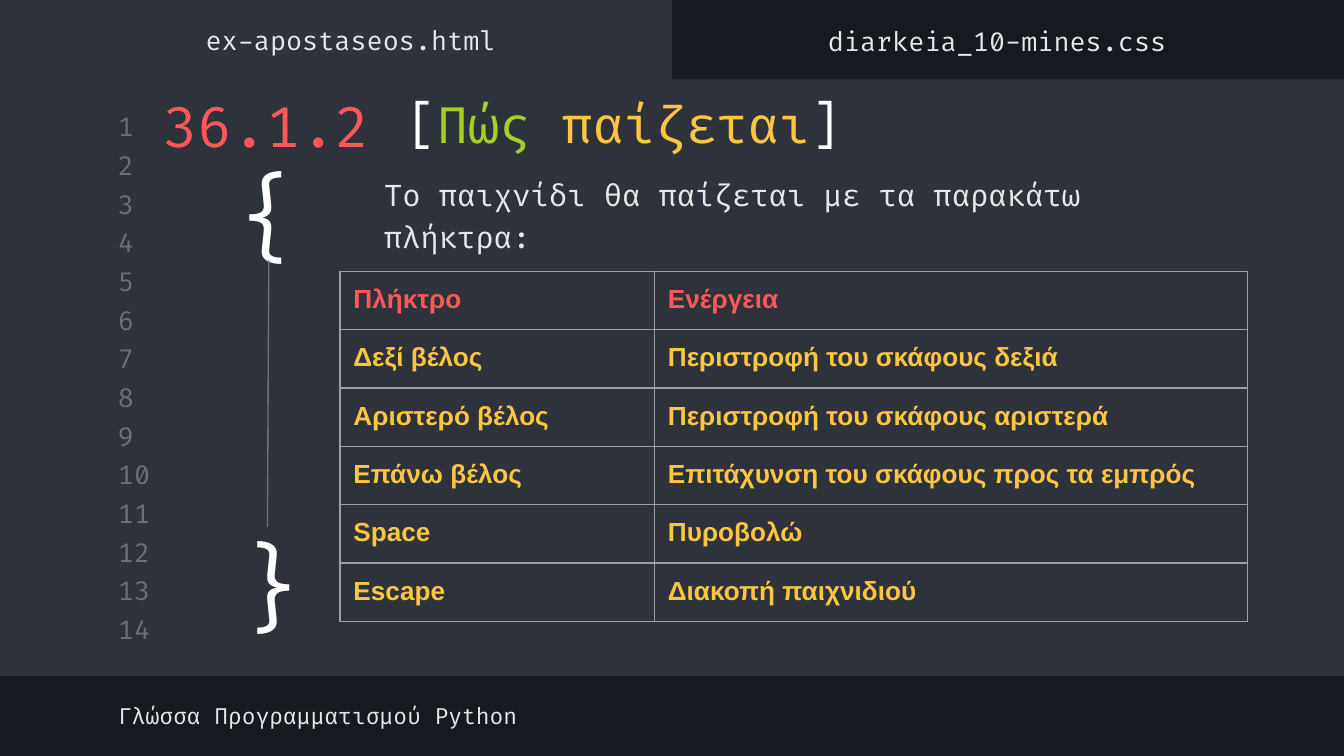
from lxml import etree
from pptx import Presentation
from pptx.dml.color import RGBColor
from pptx.enum.shapes import MSO_CONNECTOR, MSO_SHAPE
from pptx.enum.text import MSO_ANCHOR, PP_ALIGN
from pptx.oxml.ns import qn
from pptx.util import Inches, Pt

LEFT, CENTER = PP_ALIGN.LEFT, PP_ALIGN.CENTER
MIDDLE, TOP = MSO_ANCHOR.MIDDLE, MSO_ANCHOR.TOP

DARK = RGBColor(0x16, 0x19, 0x1F)
PANEL = RGBColor(0x2E, 0x32, 0x3B)
GREY = RGBColor(0x70, 0x70, 0x70)
BORDER = RGBColor(0x9E, 0x9E, 0x9E)
LIGHT = RGBColor(0xE7, 0xE7, 0xE7)
WHITE = RGBColor(0xFF, 0xFF, 0xFF)
RED = RGBColor(0xFF, 0x58, 0x58)
GREEN = RGBColor(0xA5, 0xCF, 0x27)
YELLOW = RGBColor(0xFC, 0xC6, 0x42)
CODE_FONT, TABLE_FONT = "Fira Code", "Arial"

WIDTH = 10
HEIGHT = WIDTH * 9 / 16
INSET = 0.1
MARGIN = 0.78

# Content: each span is (text, size, colour)
LINE_COUNT = 14
TABS = [("ex-apostaseos.html", (0.11, 0.1)), ("diarkeia_10-mines.css", (4.92, 0.11))]
TITLE = [("[", 27, WHITE), ("Πώς ", 27, GREEN), ("παίζεται", 27, YELLOW), ("]", 27, WHITE)]
SECTION = [("36.1.2", 30, RED), ("{", 50, WHITE)]
CLOSING = [("}", 50, WHITE)]
INTRO = [("Το παιχνίδι θα παίζεται με τα παρακάτω πλήκτρα:", 16, LIGHT)]
FOOTER = [("Γλώσσα Προγραμματισμού Python", 12, LIGHT)]
KEYS = [
    ("Πλήκτρο", "Ενέργεια"),
    ("Δεξί βέλος", "Περιστροφή του σκάφους δεξιά"),
    ("Αριστερό βέλος", "Περιστροφή του σκάφους αριστερά"),
    ("Επάνω βέλος", "Επιτάχυνση του σκάφους προς τα εμπρός"),
    ("Space", "Πυροβολώ"),
    ("Escape", "Διακοπή παιχνιδιού"),
]
COLUMN_WIDTHS = (2.34, 4.41)
ROW_HEIGHT = 0.3  # a minimum: rows grow to fit their text

deck = Presentation()
deck.slide_width, deck.slide_height = Inches(WIDTH), Inches(HEIGHT)
page = deck.slides.add_slide(deck.slide_layouts[6])
page.background.fill.solid()
page.background.fill.fore_color.rgb = DARK


def inches(*lengths):
    return [Inches(length) for length in lengths]


def add_panel(*place):
    panel = page.shapes.add_shape(MSO_SHAPE.RECTANGLE, *inches(*place))
    panel.shadow.inherit = False
    panel.fill.solid()
    panel.fill.fore_color.rgb = PANEL
    panel.line.fill.background()


def add_spans(para, spans, font=CODE_FONT, bold=False):
    for text, size, colour in spans:
        span = para.add_run()
        span.text = text
        span.font.name, span.font.size, span.font.bold = font, Pt(size), bold
        span.font.color.rgb = colour


def set_insets(holder):
    holder.margin_left = holder.margin_right = Inches(INSET)
    holder.margin_top = holder.margin_bottom = Inches(INSET)


def add_text(spans, place, align=LEFT):
    frame = page.shapes.add_textbox(*inches(*place)).text_frame
    frame.word_wrap = True
    frame.vertical_anchor = MIDDLE
    set_insets(frame)
    para = frame.paragraphs[0]
    para.alignment = align
    add_spans(para, spans)
    return para


def add_borders(cell):
    properties = cell._tc.get_or_add_tcPr()
    for index, side in enumerate(("a:lnL", "a:lnR", "a:lnT", "a:lnB")):
        line = etree.Element(qn(side), w=str(Pt(0.75)))
        fill = etree.SubElement(line, qn("a:solidFill"))
        etree.SubElement(fill, qn("a:srgbClr"), val=str(BORDER))
        properties.insert(index, line)


# Editor panel and active tab
add_panel(0, 0.59, WIDTH, 4.44)
add_panel(0, 0, WIDTH / 2, 0.65)

# Line numbers
for index in range(LINE_COUNT):
    top = 0.82 + index * (4.56 - 0.82) / (LINE_COUNT - 1)
    add_text([(str(index + 1), 14, GREY)], (MARGIN, top, 0.47, 0.24))

# Tab names
for name, corner in TABS:
    add_text([(name, 14, LIGHT)], (*corner, WIDTH / 2, 0.39), CENTER)

# Title, braces and the line between them
add_text(TITLE, (2.93, 0.62, 6.84, 0.59))
add_text(SECTION, (1.04, 0.74, 1.89, 1.21), CENTER)
add_text(CLOSING, (1.71, 3.92, 0.55, 0.86))
scope_line = page.shapes.add_connector(MSO_CONNECTOR.STRAIGHT, *inches(2, 1.94, 1.99, 3.92))
scope_line.line.color.rgb = GREY
scope_line.line.width = Pt(0.75)
etree.SubElement(scope_line._element.spPr, qn("a:effectLst"))

# Introduction and footer
intro = add_text(INTRO, (2.76, 1.32, 6.14, 0.53))
intro.line_spacing = 1.15
intro.space_before = intro.space_after = Pt(12)
footer = add_text(FOOTER, (MARGIN, 5.13, 5.32, 0.39))
footer.space_after = Pt(4)

# Table of keys
key_table = page.shapes.add_table(
    len(KEYS), len(COLUMN_WIDTHS),
    *inches(2.53, 2.02, sum(COLUMN_WIDTHS), ROW_HEIGHT * len(KEYS))).table
key_table.first_row = key_table.horz_banding = False
for column, width in zip(key_table.columns, COLUMN_WIDTHS):
    column.width = Inches(width)
for row_index, texts in enumerate(KEYS):
    colour = YELLOW if row_index else RED
    for column_index, text in enumerate(texts):
        cell = key_table.cell(row_index, column_index)
        cell.fill.background()
        cell.vertical_anchor = TOP
        set_insets(cell)
        add_borders(cell)
        add_spans(cell.text_frame.paragraphs[0], [(text, 14, colour)], TABLE_FONT, True)

deck.save("out.pptx")
